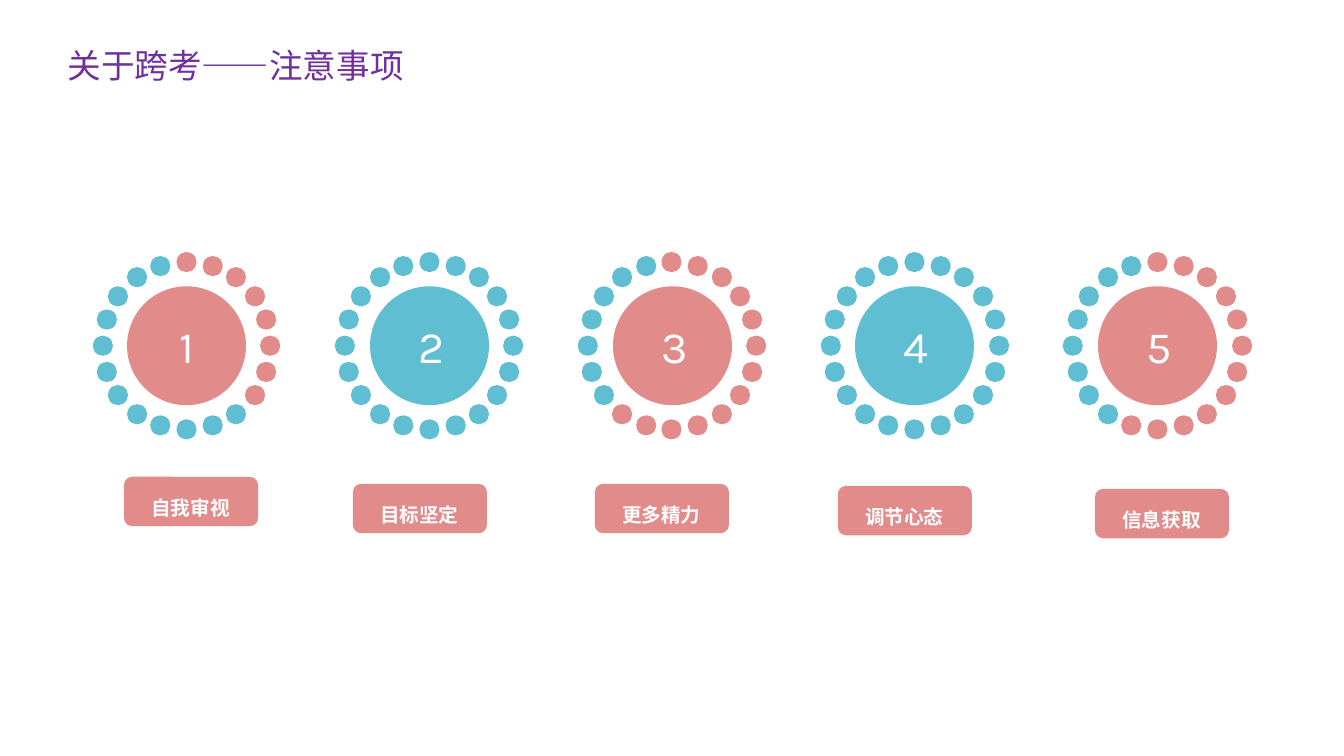
import math

from lxml import etree
from pptx import Presentation
from pptx import util as u
from pptx.dml.color import RGBColor
from pptx.enum import shapes, text
from pptx.oxml.ns import qn

PX = 9144  # 100 px to the inch
COLORS = {"coral": "E18B8B", "teal": "5FBED1", "white": "FFFFFF", "purple": "7030A0"}
CJK = "Noto Sans CJK SC"

# Geometry shared by the five dials
FIRST_X, PITCH, CENTER_Y = 185, 240.75, 343
DISC, DOT, DOT_COUNT, RING = 118, 20, 20, 167
BADGE_W, BADGE_H = 133, 49
LABEL_W, LABEL_DY = 240, 2

# Disc colour, coral dots clockwise from the top, label, badge left and top, label height
DIALS = [
    ("coral", 8, "自我审视", 123, 473, 41),
    ("teal", 0, "目标坚定", 350, 480, 77),
    ("coral", 13, "更多精力", 590, 480, 41),
    ("teal", 0, "调节心态", 831, 482, 77),
    ("coral", 12, "信息获取", 1086, 485, 77),
]


def add_filled(kind, left, top, width, height, color):
    shape = page.shapes.add_shape(kind, *(round(v) * PX for v in (left, top, width, height)))
    shape.shadow.inherit = False
    shape.fill.solid()
    shape.fill.fore_color.rgb = RGBColor.from_string(COLORS[color])
    shape.line.fill.background()


def write(box, words, size, font, color, align, wrap=True, bold=False):
    frame = box.text_frame
    frame.word_wrap = wrap
    frame.vertical_anchor = text.MSO_ANCHOR.TOP
    frame.text = words
    para = frame.paragraphs[0]
    para.alignment = align
    para.font.size = u.Pt(size)
    para.font.bold = bold
    para.font.name = font
    para.font.color.rgb = RGBColor.from_string(COLORS[color])
    latin = para._p.find(".//" + qn("a:latin"))
    east_asian = etree.Element(qn("a:ea"), typeface=font)
    latin.addnext(east_asian)
    return para


deck = Presentation()
deck.slide_width, deck.slide_height = 1333 * PX, 750 * PX
page = deck.slides.add_slide(deck.slide_layouts[5])

# Title
title = page.shapes.title
title.left, title.top, title.width, title.height = (v * PX for v in (57, 40, 385, 50))
write(title, "关于跨考——注意事项", 24, CJK, "purple", text.PP_ALIGN.LEFT)

for index, (disc_color, coral_dots, label, left, top, label_h) in enumerate(DIALS):
    center_x = FIRST_X + PITCH * index

    # Disc
    add_filled(shapes.MSO_SHAPE.OVAL, center_x - DISC / 2, CENTER_Y - DISC / 2,
               DISC, DISC, disc_color)

    # Ring of dots
    for dot in range(DOT_COUNT):
        angle = 2 * math.pi * dot / DOT_COUNT
        dot_x = center_x + RING / 2 * math.sin(angle)
        dot_y = CENTER_Y - RING / 2 * math.cos(angle)
        add_filled(shapes.MSO_SHAPE.OVAL, dot_x - DOT / 2, dot_y - DOT / 2,
                   DOT, DOT, "coral" if dot < coral_dots else "teal")

    # Number
    number = page.shapes.add_textbox(round(center_x - 21) * PX, 311 * PX, 43 * PX, 64 * PX)
    write(number, str(index + 1), 32, "Karla", "white", text.PP_ALIGN.CENTER, wrap=False)

    # Badge and its label
    add_filled(shapes.MSO_SHAPE.ROUNDED_RECTANGLE, left, top, BADGE_W, BADGE_H, "coral")
    label_left = left - (LABEL_W - BADGE_W + 1) // 2
    caption = page.shapes.add_textbox(label_left * PX, (top + LABEL_DY) * PX,
                                      LABEL_W * PX, label_h * PX)
    para = write(caption, label, 14, CJK, "white", text.PP_ALIGN.CENTER, bold=True)
    para.line_spacing = 1.5

deck.save("out.pptx")
